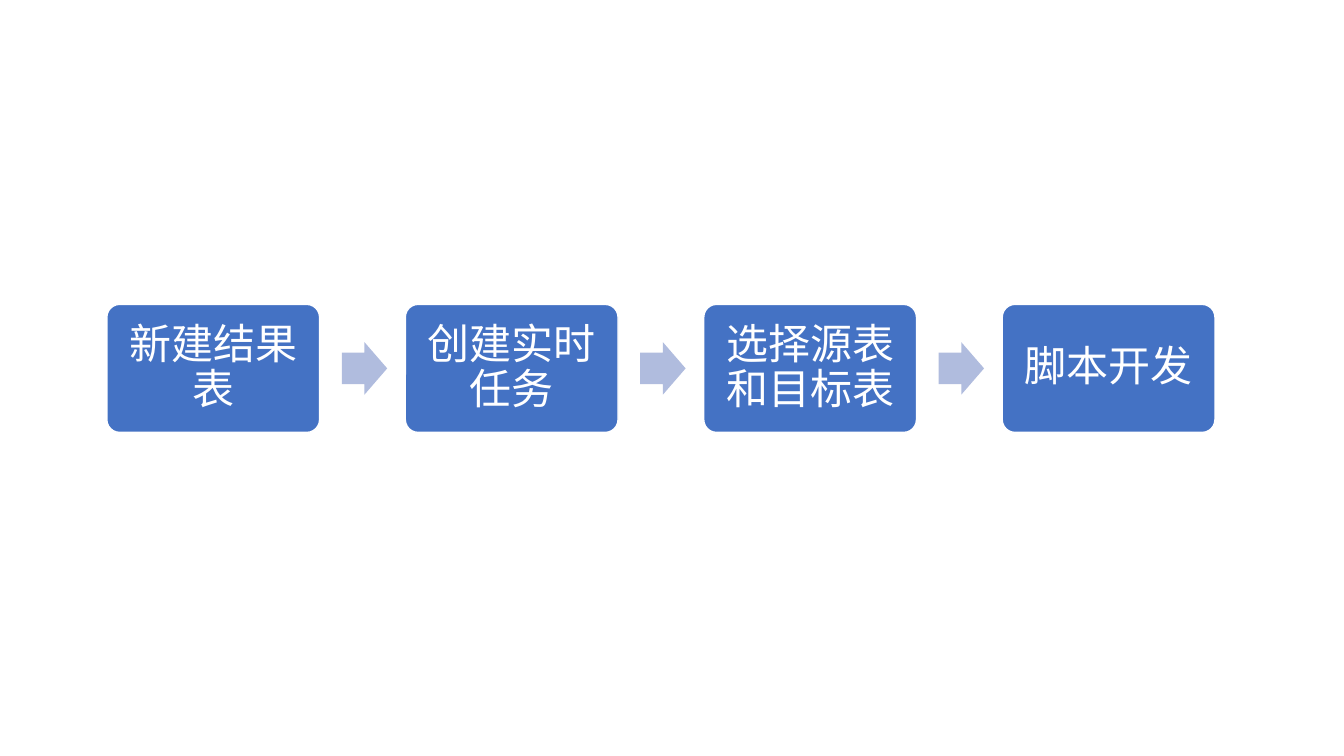
from pptx import Presentation
from pptx import util as u
from pptx.dml.color import RGBColor
from pptx.enum import shapes, text

BLUE = RGBColor(0x44, 0x72, 0xC4)
PALE = RGBColor(0xB0, 0xBC, 0xDE)
WHITE = RGBColor(0xFF, 0xFF, 0xFF)

STEPS = ["新建结果表", "创建实时任务", "选择源表和目标表", "脚本开发"]


def write(shape, words, font="Calibri", size=30, color=WHITE, inset=0.12):
    frame = shape.text_frame
    frame.word_wrap = True
    frame.vertical_anchor = text.MSO_ANCHOR.MIDDLE
    frame.margin_left = frame.margin_right = u.Inches(inset)
    frame.margin_top = frame.margin_bottom = u.Inches(inset)
    par = frame.paragraphs[0]
    par.alignment = text.PP_ALIGN.CENTER
    par.line_spacing = 0.9
    par.space_after = u.Pt(size * 0.35)
    run = par.add_run()
    run.text = words
    run.font.name = font
    run.font.size = u.Pt(size)
    run.font.color.rgb = color


class Flow:
    left, pitch, middle = 1.06, 2.96, 3.655
    box = 2.11, 1.27
    head = 0.45, 0.52
    shift = 2.33

    def __init__(self, slide):
        self.slide = slide

    def draw(self, kind, col, size, fill, adjust):
        wide, high = size
        top = self.middle - high / 2
        left = self.left + col * self.pitch
        shape = self.slide.shapes.add_shape(
            kind, *map(u.Inches, (left, top, wide, high)))
        shape.shadow.inherit = False
        shape.fill.solid()
        shape.fill.fore_color.rgb = fill
        for i, value in enumerate(adjust):
            shape.adjustments[i] = value
        return shape

    def step(self, col, words):
        shape = self.draw(shapes.MSO_SHAPE.ROUNDED_RECTANGLE, col,
                          self.box, BLUE, [0.1])
        shape.line.color.rgb = WHITE
        shape.line.width = u.Pt(1)
        write(shape, words)

    def arrow(self, col):
        shape = self.draw(shapes.MSO_SHAPE.RIGHT_ARROW,
                          col + self.shift / self.pitch,
                          self.head, PALE, [0.6, 0.5])
        shape.line.fill.background()


def main():
    deck = Presentation()
    deck.slide_width = u.Inches(13.33)
    deck.slide_height = u.Inches(7.5)
    flow = Flow(deck.slides.add_slide(deck.slide_layouts[6]))
    for col, words in enumerate(STEPS):
        if col:
            flow.arrow(col - 1)
        flow.step(col, words)
    deck.save("out.pptx")


if __name__ == "__main__":
    main()
